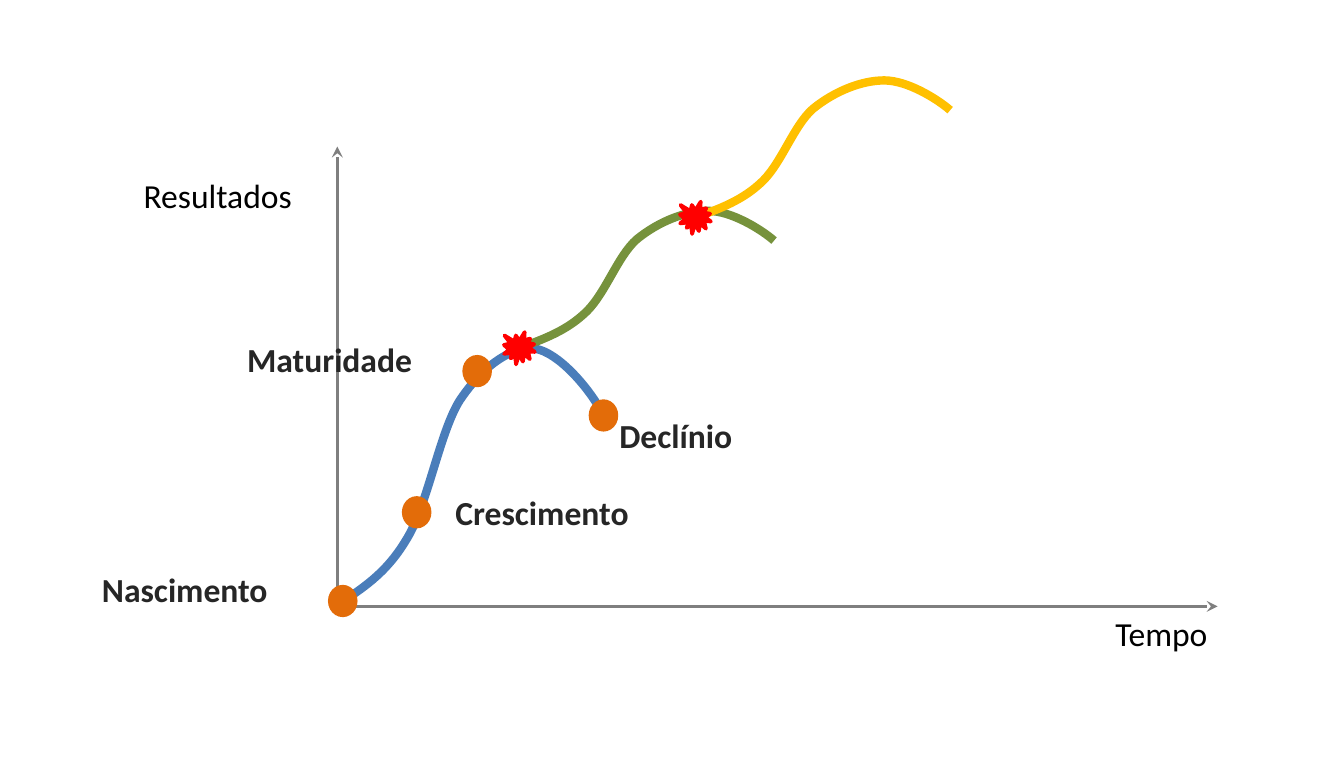
from lxml.etree import SubElement
from pptx import Presentation
from pptx.dml.color import RGBColor
from pptx.enum.shapes import MSO_CONNECTOR, MSO_SHAPE
from pptx.enum.text import MSO_AUTO_SIZE
from pptx.oxml.ns import qn
from pptx.util import Inches, Pt

GRAY = RGBColor(0x7F, 0x7F, 0x7F)
BLUE = RGBColor(0x4A, 0x7D, 0xBA)
GREEN = RGBColor(0x76, 0x92, 0x3C)
YELLOW = RGBColor(0xFF, 0xC0, 0x00)
ORANGE = RGBColor(0xE3, 0x6C, 0x09)
RED = RGBColor(0xFF, 0x00, 0x00)
DARK = RGBColor(0x26, 0x26, 0x26)
BLACK = RGBColor(0x00, 0x00, 0x00)

deck = Presentation()
deck.slide_width = Inches(10)
deck.slide_height = Inches(5.63)
page = deck.slides.add_slide(deck.slide_layouts[6])
shapes = page.shapes


def grid(*cells):
    """Turn grid cells, 100 to the slide's width, into lengths."""
    return [round(cell * deck.slide_width / 100) for cell in cells]


# Axes, both starting at the origin
ORIGIN = (25.1, 45.1)
for axis_end in [(90.6, 45.1), (25.1, 10.9)]:
    axis = shapes.add_connector(MSO_CONNECTOR.STRAIGHT, *grid(*ORIGIN, *axis_end))
    axis.line.color.rgb = GRAY
    axis.line.width = Pt(1.5)
    SubElement(axis.line._get_or_add_ln(), qn("a:tailEnd"), type="stealth")
    SubElement(axis._element.spPr, qn("a:effectLst"))

# Life-cycle curves: one Bezier outline, as (run, rise) from its start;
# after the start, each three points are two controls and an end
CYCLE = [(0, 0), (1.8, 1.2), (3.6, 2.3), (5.1, 4.8),
         (6.7, 7.3), (7.6, 12.8), (9.1, 15.2),
         (10.7, 17.6), (12.7, 19.1), (14.4, 19.1),
         (16.1, 19.1), (18.3, 16.6), (19.3, 15)]
curves = [(25.1, 45, 1, BLUE), (38.3, 26, 0.54, GREEN), (51.4, 16.3, 0.54, YELLOW)]
for left, base, height_scale, color in curves:
    points = [grid(left + run, base - rise * height_scale) for run, rise in CYCLE]
    builder = shapes.build_freeform(*points[0])
    builder.add_line_segments(points[1:], close=False)
    curve = builder.convert_to_shape()
    # Join every three straight segments into one cubic curve
    outline = curve._element.find(".//" + qn("a:path"))
    segments = outline.findall(qn("a:lnTo"))
    for first in range(0, len(segments), 3):
        cubic = SubElement(outline, qn("a:cubicBezTo"))
        for segment in segments[first:first + 3]:
            cubic.append(segment[0])
            outline.remove(segment)
    curve.fill.background()
    curve.line.color.rgb = color
    curve.line.width = Pt(4.5)
    curve.shadow.inherit = False

# Labels of the stages (bold) and of the axes
labels = [
    ("Nascimento", 6.6, 41.8, 18.9, True, DARK),
    ("Crescimento", 32.9, 36.1, 19.6, True, DARK),
    ("Maturidade", 17.4, 24.7, 18.8, True, DARK),
    ("Declínio", 45.1, 30.4, 13.7, True, DARK),
    ("Tempo", 82, 45.1, 11.7, False, BLACK),
    ("Resultados", 9.7, 12.5, 17.2, False, BLACK),
]
for text, left, top, width, bold, color in labels:
    box = shapes.add_textbox(*grid(left, top, width, 4))
    frame = box.text_frame
    frame.word_wrap = True
    frame.auto_size = MSO_AUTO_SIZE.SHAPE_TO_FIT_TEXT
    frame.text = text
    font = frame.paragraphs[0].runs[0].font
    font.name = "Calibri"
    font.size = Pt(18)
    font.bold = bold
    font.color.rgb = color

# Stage dots, then bursts where a new curve takes off
markers = [
    (MSO_SHAPE.OVAL, 2.2, ORANGE,
     [(24.4, 43.5), (29.9, 36.9), (34.4, 26.4), (43.8, 29.7)]),
    (MSO_SHAPE.EXPLOSION1, 2.3, RED, [(37.5, 24.7), (50.6, 15)]),
]
for kind, width, color, corners in markers:
    for corner in corners:
        marker = shapes.add_shape(kind, *grid(*corner, width, 2.4))
        marker.shadow.inherit = False
        marker.fill.solid()
        marker.fill.fore_color.rgb = color
        if kind == MSO_SHAPE.OVAL:
            marker.line.fill.background()
        else:
            marker.line.color.rgb = color
            marker.line.width = Pt(2)

deck.save("out.pptx")
